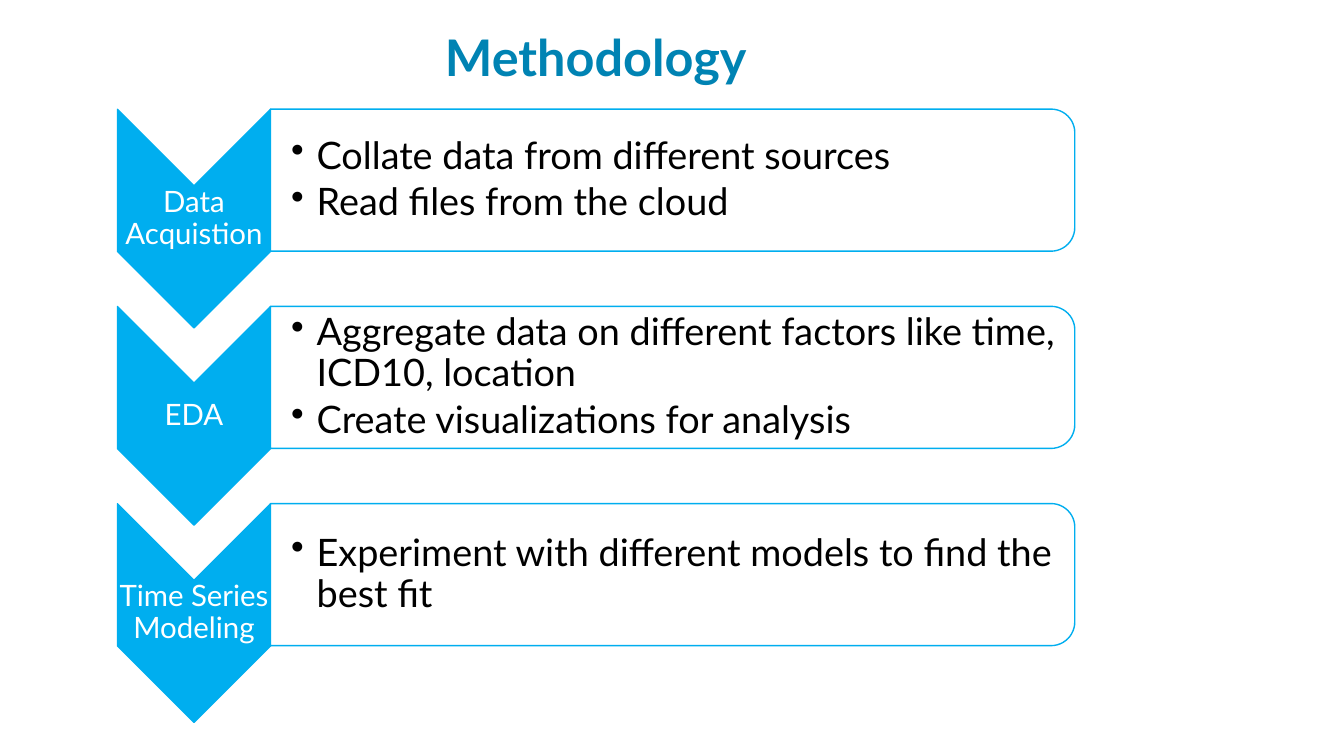
from lxml import etree
from pptx import Presentation
from pptx.dml.color import RGBColor
from pptx.enum.shapes import MSO_SHAPE
from pptx.enum.text import MSO_ANCHOR, PP_ALIGN
from pptx.oxml.ns import qn
from pptx.util import Cm, Pt

BLUE = "00AEEF"
STEPS = [
    ("Data Acquistion", ["Collate data from different sources",
                         "Read files from the cloud"]),
    ("EDA", ["Aggregate data on different factors like time, ICD10, location",
             "Create visualizations for analysis"]),
    ("Time Series Modeling", ["Experiment with different models to find the best fit"]),
]
PITCH = 4.97
CHEVRON_X, CHEVRON_Y = 4.89, 5.51
PANEL_X, PANEL_Y = 16.95, 4.54


def add_turned_shape(kind, center_x, center_y, length, breadth, fill):
    """Add an outlined shape turned a quarter clockwise about its centre (cm)."""
    shape = page.shapes.add_shape(kind, Cm(center_x - length / 2), Cm(center_y - breadth / 2),
                                  Cm(length), Cm(breadth))
    shape.rotation = 90
    shape.shadow.inherit = False
    shape.fill.solid()
    shape.fill.fore_color.rgb = RGBColor.from_string(fill)
    shape.line.color.rgb = RGBColor.from_string(BLUE)
    shape.line.width = Pt(1)


def add_text(lines, left, top, width, height, *, size, color, bold=False, spacing=0.9,
             anchor=MSO_ANCHOR.MIDDLE, inset=0.03, left_inset=0.03, bulleted=False):
    box = page.shapes.add_textbox(Cm(left), Cm(top), Cm(width), Cm(height))
    frame = box.text_frame
    frame.word_wrap = True
    frame.vertical_anchor = anchor
    frame.margin_left = Cm(left_inset)
    frame.margin_right = frame.margin_top = frame.margin_bottom = Cm(inset)
    for index, line in enumerate(lines):
        para = frame.paragraphs[0] if index == 0 else frame.add_paragraph()
        para.line_spacing = spacing
        if bulleted:
            para.alignment = PP_ALIGN.LEFT
            para.space_after = Pt(4)
            properties = para._p.get_or_add_pPr()
            properties.set("marL", str(Cm(0.64)))
            properties.set("indent", str(-Cm(0.64)))
            etree.SubElement(properties, qn("a:buChar"), char="•")
        else:
            para.alignment = PP_ALIGN.CENTER
        span = para.add_run()
        span.text = line
        span.font.name = "Lato"
        span.font.size = Pt(size)
        span.font.bold = bold
        span.font.color.rgb = RGBColor.from_string(color)


deck = Presentation()
deck.slide_width, deck.slide_height = Cm(33.87), Cm(19.05)
page = deck.slides.add_slide(deck.slide_layouts[6])

add_text(["Methodology"], 2.95, 0.84, 24.13, 1.47, size=36, color="0083B3", bold=True,
         spacing=0.8, anchor=MSO_ANCHOR.BOTTOM, inset=0.13, left_inset=0.13)

for row, (step, tasks) in enumerate(STEPS):
    chevron_y = CHEVRON_Y + row * PITCH
    panel_y = PANEL_Y + row * PITCH
    add_turned_shape(MSO_SHAPE.CHEVRON, CHEVRON_X, chevron_y, 5.51, 3.86, BLUE)
    add_text([step], CHEVRON_X - 1.93, chevron_y - 0.83, 3.86, 1.66, size=21, color="FFFFFF")
    add_turned_shape(MSO_SHAPE.ROUND_2_SAME_RECTANGLE, PANEL_X, panel_y, 3.58, 20.27, "FFFFFF")
    add_text(tasks, 6.81, panel_y - 1.61, 20.12, 3.22, size=27, color="000000",
             inset=0.05, left_inset=0.53, bulleted=True)

deck.save("out.pptx")
